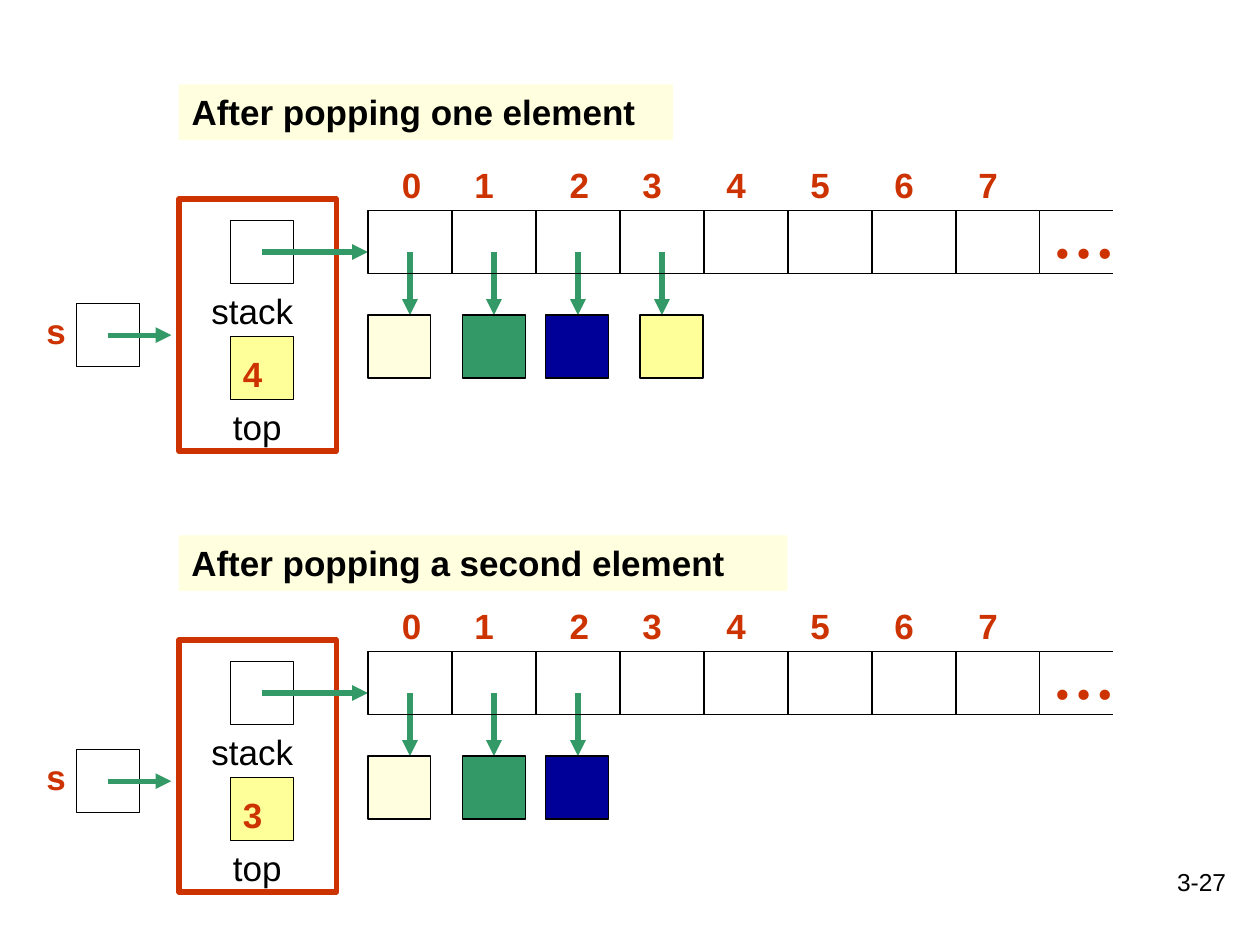
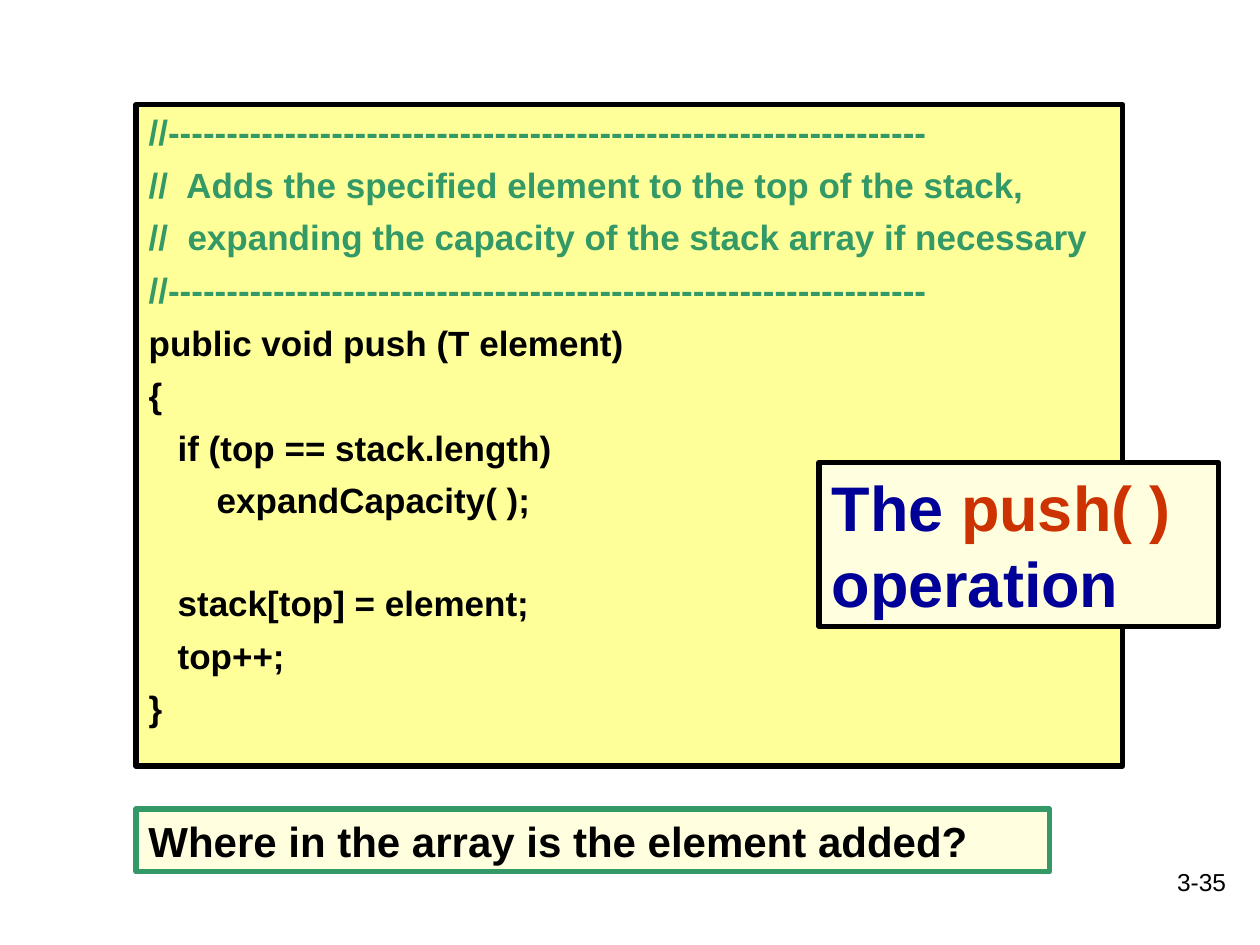
import pptx
import pptx.dml.color
import pptx.enum.shapes
import pptx.enum.text
import pptx.oxml
import pptx.oxml.ns
import pptx.util

Inches = pptx.util.Inches
Pt = pptx.util.Pt

COLORS = {
    "black": "000000",
    "red": "CC3300",
    "green": "339966",
    "navy": "000099",
    "yellow": "FFFF99",
    "cream": "FFFFDF",
}
LABEL = {"name": "Arial", "size": Pt(20), "bold": False}
STRONG = {**LABEL, "bold": True}
DOTS = {"name": "Times New Roman", "size": Pt(36), "bold": True}
FOOTER = {**LABEL, "size": Pt(14)}
QUESTION = {**STRONG, "size": Pt(24)}
HEADLINE = {**STRONG, "size": Pt(36)}
FRAME = {
    "word_wrap": True,
    "auto_size": pptx.enum.text.MSO_AUTO_SIZE.NONE,
    "vertical_anchor": pptx.enum.text.MSO_ANCHOR.TOP,
    "margin_left": Inches(0.1),
    "margin_right": Inches(0.1),
    "margin_top": Inches(0.05),
    "margin_bottom": Inches(0.05),
}
LEFT = pptx.enum.text.PP_ALIGN.LEFT
RIGHT = pptx.enum.text.PP_ALIGN.RIGHT

CELL_COUNT = 8
CELL_WIDTH = 2 / 3
SQUARE = 0.5
TEXT_HEIGHT = 0.44
# Fill and offset from the array's left edge, bottom of the stack first
ELEMENTS = [("cream", 0), ("green", 0.75), ("navy", 1.41), ("yellow", 2.16)]

RULE = "//" + "-" * 65
# Text, colour, indent in inches, space before in points
CODE = [
    (RULE, "green", 0, 6),
    ("//  Adds the specified element to the top of the stack,", "green", 0, 6),
    ("//  expanding the capacity of the stack array if necessary", "green", 0, 6),
    (RULE, "green", 0, 6),
    ("public void push (T element)", "black", 0, 6),
    ("{", "black", 0, 6),
    ("if (top == stack.length)", "black", 0.23, 6),
    ("expandCapacity( );", "black", 0.54, 6),
    ("stack[top] = element;", "black", 0.23, 35),
    ("top++;", "black", 0.23, 6),
    ("}", "black", 0, 6),
]


# Shared drawing helpers

def set_values(target, values):
    for name, value in values.items():
        setattr(target, name, value)


def rgb(color):
    return pptx.dml.color.RGBColor.from_string(COLORS[color])


def style_box(shape, area, fill=None, line=None, width=0.75):
    edges = ("left", "top", "width", "height")
    set_values(shape, {edge: Inches(value) for edge, value in zip(edges, area)})
    shape.shadow.inherit = False
    if fill:
        shape.fill.solid()
        shape.fill.fore_color.rgb = rgb(fill)
    else:
        shape.fill.background()
    if line:
        shape.line.color.rgb = rgb(line)
        shape.line.width = Pt(width)
    else:
        shape.line.fill.background()


def add_box(slide, area, fill=None, line="black", width=0.75):
    rectangle = pptx.enum.shapes.MSO_SHAPE.RECTANGLE
    shape = slide.shapes.add_shape(rectangle, 0, 0, 0, 0)
    style_box(shape, area, fill, line, width)
    return shape


def add_run(paragraph, text, font, color):
    run = paragraph.add_run()
    run.text = text
    set_values(run.font, font)
    run.font.color.rgb = rgb(color)


def start_paragraph(paragraph, alignment=LEFT, indent=0, space_before=0):
    set_values(paragraph, {"alignment": alignment, "space_before": Pt(space_before)})
    properties = paragraph._p.get_or_add_pPr()
    properties.set("marL", str(Inches(indent)))
    properties.set("indent", "0")
    pptx.oxml.ns.qn("a:buNone")
    properties.append(pptx.oxml.parse_xml(
        f'<a:buNone {pptx.oxml.ns.nsdecls("a")}/>'))


def write(shape, runs, alignment=LEFT):
    set_values(shape.text_frame, FRAME)
    paragraph = shape.text_frame.paragraphs[0]
    start_paragraph(paragraph, alignment)
    for text, font, color in runs:
        add_run(paragraph, text, font, color)


def add_text(slide, area, text, font, color, alignment=LEFT):
    text_box = slide.shapes.add_textbox(*map(Inches, area))
    write(text_box, [(text, font, color)], alignment)


def add_line(slide, start, end, color="black", width=0.75, arrow=False):
    straight = pptx.enum.shapes.MSO_CONNECTOR.STRAIGHT
    connector = slide.shapes.add_connector(straight, *map(Inches, (*start, *end)))
    connector.line.color.rgb = rgb(color)
    connector.line.width = Pt(width)
    namespace = pptx.oxml.ns.nsdecls("a")
    if arrow:
        connector.line._get_or_add_ln().append(
            pptx.oxml.parse_xml(f'<a:tailEnd {namespace} type="triangle"/>'))
    connector._element.spPr.append(
        pptx.oxml.parse_xml(f"<a:effectLst {namespace}/>"))


def add_arrow(slide, start, end):
    add_line(slide, start, end, "green", 3, arrow=True)


def add_page_number(slide, number):
    add_text(slide, (7.75, 6.83, 2.08, 0.5), number, FOOTER, "black", RIGHT)


# Stack diagram

def draw_stack_object(slide, left, top, count):
    """Frame with the array reference and the top counter."""
    add_box(slide, (left + 0.41, top + 1.09, SQUARE, SQUARE), "yellow")
    add_text(slide, (left + 0.33, top + 1.59, 0.75, TEXT_HEIGHT), "top", LABEL, "black")
    add_text(slide, (left + 0.41, top + 1.17, 0.39, TEXT_HEIGHT),
             str(count), STRONG, "red")
    add_text(slide, (left + 0.16, top + 0.67, 1, TEXT_HEIGHT), "stack", LABEL, "black")
    add_box(slide, (left + 0.41, top + 0.17, SQUARE, SQUARE))
    add_box(slide, (left, top, 1.25, 2), line="red", width=3)
    add_arrow(slide, (left + 0.66, top + 0.42), (left + 1.5, top + 0.42))


def draw_array(slide, left, top, count):
    """Indexed cells, with an arrow to each element still on the stack."""
    for index, (fill, offset) in enumerate(ELEMENTS[:count]):
        center = left + (index + 0.5) * CELL_WIDTH
        add_arrow(slide, (center, top + 0.33), (center, top + 0.83))
        add_box(slide, (left + offset, top + 0.83, SQUARE, SQUARE), fill)
    for index in range(CELL_COUNT):
        cell_left = left + index * CELL_WIDTH
        label_offset = 0.17 if index in (0, 2) else 0.08
        add_box(slide, (cell_left, top, CELL_WIDTH, SQUARE))
        add_text(slide, (cell_left + label_offset, top - 0.42, 0.42, TEXT_HEIGHT),
                 str(index), STRONG, "red")
    # Open end
    right = left + CELL_COUNT * CELL_WIDTH
    for edge in (top, top + SQUARE):
        add_line(slide, (right, edge), (right + 0.58, edge))
    add_text(slide, (right, top - 0.17, 0.67, 0.7), "…", DOTS, "red")


def draw_variable(slide, left, top):
    """Variable s, pointing at the stack object."""
    add_text(slide, (left, top, 0.5, TEXT_HEIGHT), "s", STRONG, "red")
    add_box(slide, (left + 0.34, top, SQUARE, SQUARE))
    add_arrow(slide, (left + 0.59, top + 0.25), (left + 1.09, top + 0.25))


def draw_stack(slide, left, top, variable_top, count):
    draw_stack_object(slide, left, top, count)
    draw_array(slide, left + 1.5, top + 0.09, count)
    draw_variable(slide, left - 1.15, variable_top)


def draw_caption(shape, area, text):
    style_box(shape, area, "cream")
    write(shape, [(text, STRONG, "black")])


def build_pop_slide(presentation):
    slide = presentation.slides.add_slide(presentation.slide_layouts[5])
    add_page_number(slide, "3-27")
    draw_stack(slide, 1.42, 1.58, 2.41, 4)
    draw_stack(slide, 1.42, 5.08, 5.95, 3)
    draw_caption(slide.shapes.title, (1.42, 0.67, 3.92, TEXT_HEIGHT),
                 "After popping one element")
    second_caption = add_box(slide, (0, 0, 0, 0))
    draw_caption(second_caption, (1.42, 4.25, 4.83, TEXT_HEIGHT),
                 "After popping a second element")


# Code slide

def draw_code(shape, area):
    style_box(shape, area, "yellow", "black", 3)
    frame = shape.text_frame
    set_values(frame, FRAME)
    for number, (text, color, indent, space_before) in enumerate(CODE):
        paragraph = frame.add_paragraph() if number else frame.paragraphs[0]
        start_paragraph(paragraph, LEFT, indent, space_before)
        add_run(paragraph, text, STRONG, color)


def draw_headline(slide, area):
    title = slide.shapes.title
    style_box(title, area, "cream", "black", 3)
    write(title, [("The ", HEADLINE, "navy"),
                  ("push( ) ", HEADLINE, "red"),
                  ("operation", HEADLINE, "navy")])
    # Bring the title in front of the code
    slide.shapes.element.append(title.element)


def build_push_slide(presentation):
    slide = presentation.slides.add_slide(presentation.slide_layouts[1])
    add_page_number(slide, "3-35")
    draw_code(slide.placeholders[1], (1.08, 0.83, 7.83, 5.25))
    question = add_box(slide, (1.08, 6.42, 7.25, 0.5), "cream", "green", 3)
    write(question, [("Where in the array is the element added?", QUESTION, "black")])
    draw_headline(slide, (6.5, 3.67, 3.17, 1.3))


def main():
    presentation = pptx.Presentation()
    presentation.slide_width = Inches(10)
    presentation.slide_height = Inches(7.5)
    build_pop_slide(presentation)
    build_push_slide(presentation)
    presentation.save("out.pptx")


if __name__ == "__main__":
    main()
